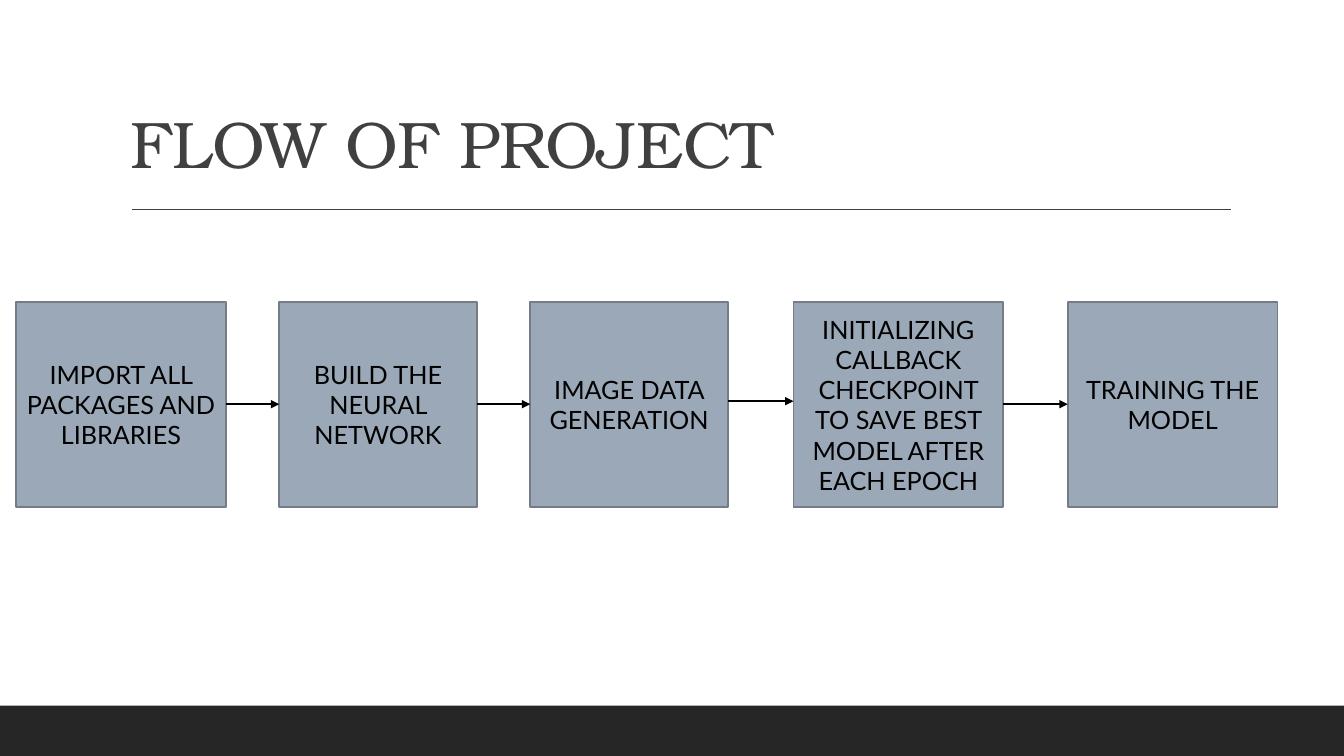
"""Build the project flow slide."""
from dataclasses import dataclass
from itertools import pairwise

from lxml import etree
from pptx import Presentation
from pptx.dml.color import RGBColor
from pptx.enum import shapes, text
from pptx.oxml import ns
from pptx.util import Inches, Pt


@dataclass(frozen=True)
class Theme:
    footer: str = "262626"
    title: str = "404040"
    box: str = "9BA8B7"
    border: str = "737C87"
    ink: str = "000000"
    title_font: str = "TeX Gyre Bonum"
    body_font: str = "Lato"
    title_size: float = 47
    body_size: float = 18
    rule_width: float = 1
    border_width: float = 1.25


THEME = Theme()
BOX_TOP, BOX_HEIGHT = 3, 2.03
STEPS = [
    (0.16, 2.08, "IMPORT ALL PACKAGES AND LIBRARIES"),
    (2.77, 1.96, "BUILD THE NEURAL NETWORK"),
    (5.26, 1.96, "IMAGE DATA GENERATION"),
    (7.87, 2.08, "INITIALIZING CALLBACK CHECKPOINT TO SAVE BEST MODEL AFTER EACH EPOCH"),
    (10.59, 2.08, "TRAINING THE MODEL"),
]
ARROW_HEIGHTS = [4.01, 4.01, 3.98, 4.01]


def style_run(p, font, size, color):
    r = p.runs[0]
    r.font.name = font
    r.font.size = Pt(size)
    r.font.color.rgb = RGBColor.from_string(color)
    return r


def add_rect(s, left, top, width, height, fill, border=None):
    sp = s.shapes.add_shape(
        shapes.MSO_SHAPE.RECTANGLE,
        Inches(left), Inches(top), Inches(width), Inches(height),
    )
    sp.shadow.inherit = False
    sp.fill.solid()
    sp.fill.fore_color.rgb = RGBColor.from_string(fill)
    if border:
        sp.line.color.rgb = RGBColor.from_string(border)
        sp.line.width = Pt(THEME.border_width)
    else:
        sp.line.fill.background()
    return sp


def add_step(s, left, width, label):
    sp = add_rect(s, left, BOX_TOP, width, BOX_HEIGHT, THEME.box, THEME.border)
    tf = sp.text_frame
    tf.word_wrap = True
    tf.vertical_anchor = text.MSO_ANCHOR.MIDDLE
    tf.text = label
    p = tf.paragraphs[0]
    p.alignment = text.PP_ALIGN.CENTER
    style_run(p, THEME.body_font, THEME.body_size, THEME.ink)


def add_line(s, start, end, y, color, arrow=False):
    line = s.shapes.add_connector(
        shapes.MSO_CONNECTOR.STRAIGHT,
        Inches(start), Inches(y), Inches(end), Inches(y),
    )
    line.line.color.rgb = RGBColor.from_string(color)
    line.line.width = Pt(THEME.rule_width)
    if arrow:
        etree.SubElement(line.line._get_or_add_ln(), ns.qn("a:tailEnd"), type="triangle")
    etree.SubElement(line._element.spPr, ns.qn("a:effectLst"))


def add_title(s, label):
    sp = s.shapes.add_textbox(Inches(1.2), Inches(0.27), Inches(11), Inches(1.59))
    tf = sp.text_frame
    tf.word_wrap = True
    tf.vertical_anchor = text.MSO_ANCHOR.BOTTOM
    tf.text = label
    p = tf.paragraphs[0]
    p.line_spacing = 0.9
    r = style_run(p, THEME.title_font, THEME.title_size, THEME.title)
    r.font._element.set("spc", "-50")


def main():
    prs = Presentation()
    prs.slide_width, prs.slide_height = Inches(13.33), Inches(7.5)
    s = prs.slides.add_slide(prs.slide_layouts[6])
    add_rect(s, 0, 7, 13.33, 0.5, THEME.footer)
    add_line(s, 1.31, 12.21, 2.08, THEME.title)
    add_title(s, "FLOW OF PROJECT")
    for step in STEPS:
        add_step(s, *step)
    for (current, following), y in zip(pairwise(STEPS), ARROW_HEIGHTS):
        left, width, _ = current
        add_line(s, left + width, following[0], y, THEME.ink, arrow=True)
    prs.save("out.pptx")


if __name__ == "__main__":
    main()
